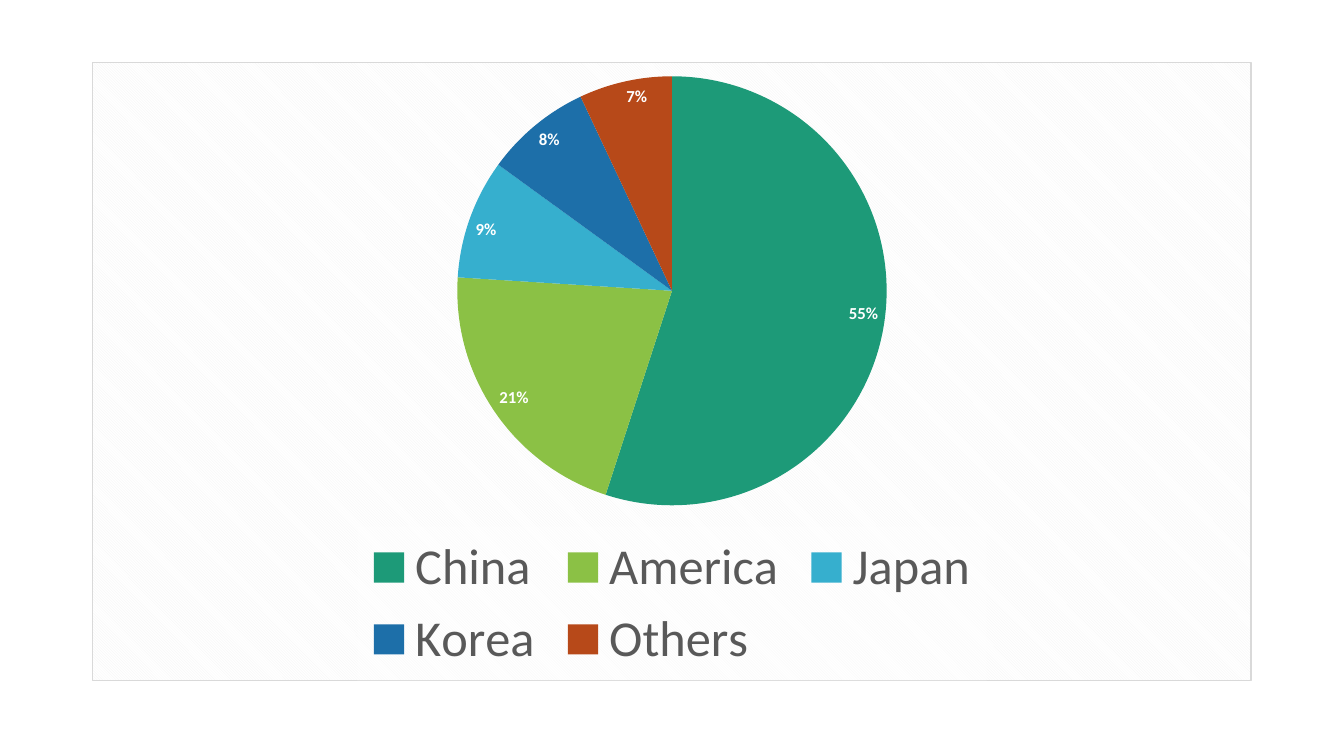
"""Build a slide with a pie chart of shares by country."""
from lxml import etree
from pptx import Presentation
from pptx import util as u
from pptx.chart import data
from pptx.dml import color
from pptx.enum import chart as ch
from pptx.oxml import ns


def rgb(code):
    return color.RGBColor.from_string(code)


class Deck:
    font = "Calibri"
    legend_color = "595959"
    label_color = "FFFFFF"
    pattern_fill = (
        '<a:pattFill prst="dkDnDiag"><a:fgClr><a:srgbClr val="F2F2F2"/></a:fgClr>'
        '<a:bgClr><a:srgbClr val="FFFFFF"/></a:bgClr></a:pattFill>'
        '<a:ln w="9525"><a:solidFill><a:srgbClr val="D9D9D9"/></a:solidFill></a:ln>'
    )
    veil_fill = (
        '<a:solidFill><a:srgbClr val="FFFFFF"><a:alpha val="39000"/>'
        '</a:srgbClr></a:solidFill>'
    )

    def __init__(self, width, height):
        self.show = Presentation()
        self.show.slide_width, self.show.slide_height = width, height
        self.slide = self.show.slides.add_slide(self.show.slide_layouts[6])

    def style(self, font, size, code, bold=False):
        font.name, font.size, font.bold = self.font, u.Pt(size), bold
        font.color.rgb = rgb(code)

    def paint(self, part, fill):
        part.find(ns.qn("c:txPr")).addprevious(
            etree.fromstring(f"<c:spPr {ns.nsdecls('a', 'c')}>{fill}</c:spPr>"))

    def pie(self, name, shares, colors, box):
        chart_data = data.CategoryChartData()
        chart_data.categories = list(shares)
        chart_data.add_series(name, list(shares.values()))
        chart = self.slide.shapes.add_chart(
            ch.XL_CHART_TYPE.PIE, *box, chart_data).chart
        chart.has_title = False
        self.style(chart.font, 10, "000000")

        chart.has_legend = True
        chart.legend.position = ch.XL_LEGEND_POSITION.BOTTOM
        chart.legend.include_in_layout = False
        self.style(chart.legend.font, 36, self.legend_color)
        self.paint(chart.element, self.pattern_fill)
        self.paint(chart.element.find(".//" + ns.qn("c:legend")), self.veil_fill)

        plot = chart.plots[0]
        plot.vary_by_categories = True
        series = plot.series[0]
        for index, code in enumerate(colors):
            slice_fill = series.points[index].format.fill
            slice_fill.solid()
            slice_fill.fore_color.rgb = rgb(code)

        labels = series.data_labels
        labels.show_percentage, labels.show_value = True, False
        labels.number_format, labels.number_format_is_linked = "0%", False
        labels.position = ch.XL_LABEL_POSITION.INSIDE_END
        self.style(labels.font, 12, self.label_color, True)


deck = Deck(u.Cm(33.87), u.Cm(19.05))
country_shares = {"China": 55, "America": 21, "Japan": 9, "Korea": 8, "Others": 7}
country_colors = ["1D9A78", "8BC145", "36AFCE", "1D6FA9", "B74919"]
deck.pie("Series 1", country_shares, country_colors,
         [u.Cm(n) for n in (2.33, 1.56, 29.21, 15.6)])
deck.show.save("out.pptx")
